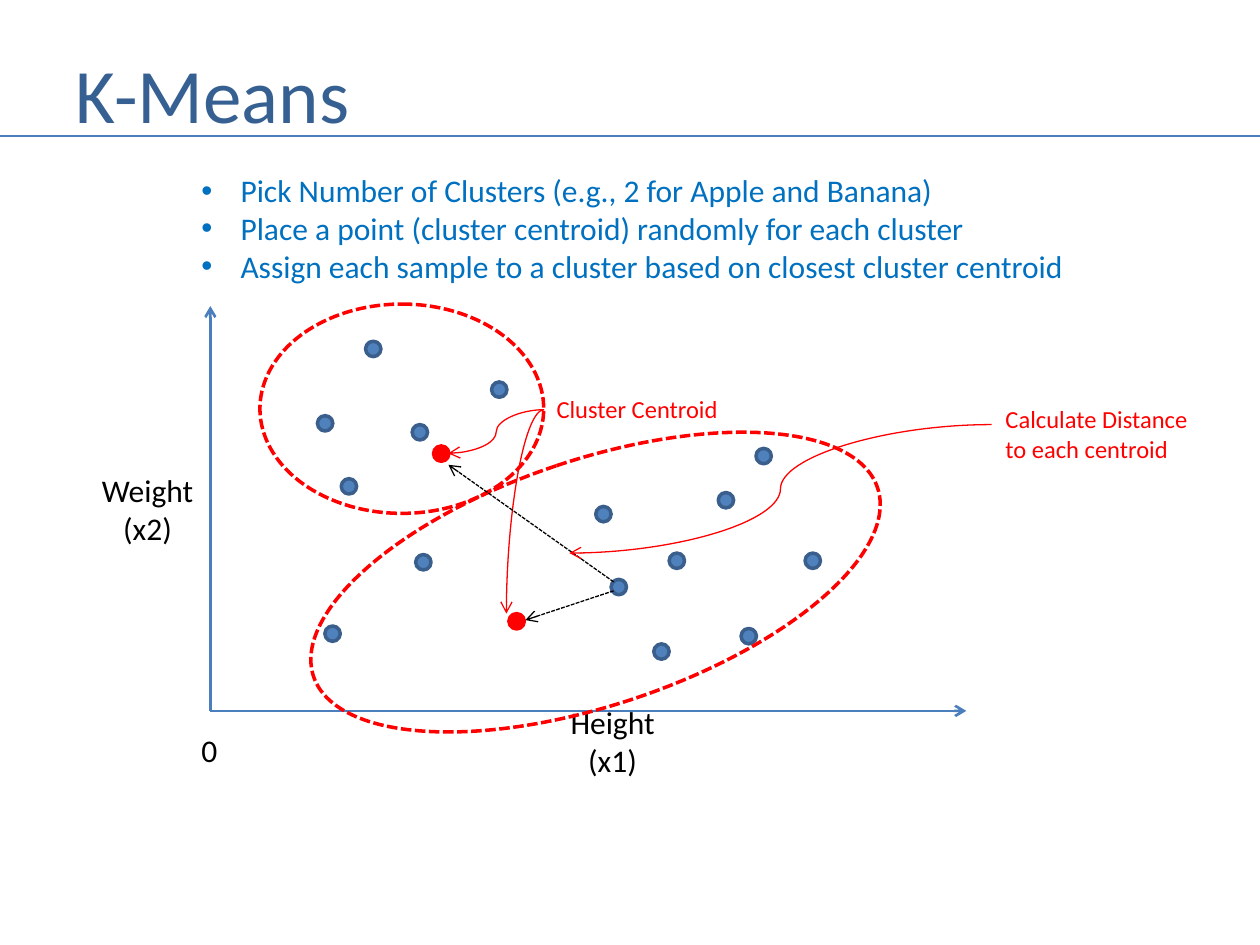
from lxml.etree import SubElement
from pptx import Presentation
from pptx.dml.color import RGBColor
from pptx.enum.dml import MSO_LINE
from pptx.enum.shapes import MSO_CONNECTOR as Connector, MSO_SHAPE as Shape
from pptx.enum.text import MSO_ANCHOR as Anchor, PP_ALIGN as Align
from pptx.oxml.ns import qn
from pptx.util import Cm, Pt

BLACK, RED, BLUE = "000000", "FF0000", "0070C0"
TITLE, AXIS, DOT_FILL, DOT_EDGE = "376092", "4B7EBC", "4F81BD", "3A5F8C"


def color(value):
    return RGBColor.from_string(value)


class SlideBuilder:
    font = "Calibri"
    dot_size = 0.31
    bullet_indent = 0.79

    def __init__(self, slide):
        self.slide = slide

    def text(self, box, lines, size=18, ink=BLACK, align=Align.LEFT,
             anchor=Anchor.TOP, bullets=False):
        shape = self.slide.shapes.add_textbox(*map(Cm, box))
        frame = shape.text_frame
        frame.word_wrap = False
        frame.vertical_anchor = anchor
        frame.text = "\n".join(lines)
        for paragraph in frame.paragraphs:
            paragraph.alignment = align
            if bullets:
                self.bullet(paragraph)
            for run in paragraph.runs:
                run.font.name = self.font
                run.font.size = Pt(size)
                run.font.color.rgb = color(ink)

    def bullet(self, paragraph):
        properties = paragraph._p.get_or_add_pPr()
        indent = Cm(self.bullet_indent)
        properties.set("marL", str(indent))
        properties.set("indent", str(-indent))
        SubElement(properties, qn("a:buFont"), typeface="Arial")
        SubElement(properties, qn("a:buChar"), char="•")

    def outline(self, line, ink, width, dashed):
        line.color.rgb = color(ink)
        line.width = Pt(width)
        if dashed:
            line.dash_style = MSO_LINE.SQUARE_DOT

    def shape(self, kind, box, edge, fill=None, rotation=0, dashed=False):
        shape = self.slide.shapes.add_shape(kind, *map(Cm, box))
        shape.shadow.inherit = False
        shape.rotation = rotation
        if fill:
            shape.fill.solid()
            shape.fill.fore_color.rgb = color(fill)
        else:
            shape.fill.background()
        self.outline(shape.line, edge, 2, dashed)

    def dot(self, left, top, fill=DOT_FILL, edge=DOT_EDGE):
        box = (left, top, self.dot_size, self.dot_size)
        self.shape(Shape.FLOWCHART_CONNECTOR, box, edge, fill)

    def cluster(self, box, rotation):
        self.shape(Shape.OVAL, box, RED, rotation=rotation, dashed=True)

    def line(self, start, end, ink=AXIS, width=1.5, arrow=True, dashed=False,
             kind=Connector.STRAIGHT, preset=None):
        connector = self.slide.shapes.add_connector(
            kind, *map(Cm, (*start, *end)))
        self.outline(connector.line, ink, width, dashed)
        properties = connector._element.spPr
        if arrow:
            SubElement(properties.find(qn("a:ln")), qn("a:tailEnd"), type="arrow")
        SubElement(properties, qn("a:effectLst"))
        if preset:
            properties.find(qn("a:prstGeom")).set("prst", preset)

    def curve(self, start, end, preset=None):
        self.line(start, end, RED, 0.75, kind=Connector.CURVE, preset=preset)

    def distance(self, start, end):
        self.line(start, end, BLACK, 0.75, dashed=True)


def main():
    presentation = Presentation()
    presentation.slide_width, presentation.slide_height = Cm(25.4), Cm(19.05)
    slide = presentation.slides.add_slide(presentation.slide_layouts[6])
    builder = SlideBuilder(slide)

    # Title and rule
    builder.text((1.27, 0.76, 19.89, 2.21), ["K-Means"], 44, TITLE,
                 anchor=Anchor.MIDDLE)
    builder.line((0, 2.74), (25.4, 2.74), arrow=False)

    # Axes and their labels
    origin = (4.24, 14.33)
    builder.line(origin, (4.24, 6.17))
    builder.line(origin, (19.48, 14.33))
    builder.text((11.23, 14.05, 2.24, 1.8), ["Height", "(x1)"], align=Align.CENTER)
    builder.text((3.81, 14.61, 0.84, 1.02), ["0"])
    builder.text((1.78, 9.37, 2.39, 1.8), ["Weight", "(x2)"], align=Align.CENTER)

    # Samples
    samples = [
        (14.94, 12.67), (8.31, 8.56), (6.88, 9.65), (6.55, 12.62), (12.32, 11.68),
        (8.38, 11.18), (6.4, 8.38), (13.18, 12.98), (9.91, 7.7), (7.37, 6.88),
        (14.48, 9.93), (15.24, 9.04), (12.01, 10.21), (13.49, 11.15), (16.23, 11.15),
    ]
    for left, top in samples:
        builder.dot(left, top)

    # Clusters and centroids
    builder.cluster((9.53, 5.74, 4.95, 11.99), 71.5)
    builder.cluster((5.99, 5.38, 4.22, 5.72), 90)
    for left, top in [(8.74, 8.99), (10.26, 12.37)]:
        builder.dot(left, top, RED, RED)

    # Steps
    builder.text((3.81, 3.33, 18.08, 2.57), [
        "Pick Number of Clusters (e.g., 2 for Apple and Banana)",
        "Place a point (cluster centroid) randomly for each cluster",
        "Assign each sample to a cluster based on closest cluster centroid",
    ], ink=BLUE, bullets=True)

    # Centroid callout
    callout = (10.97, 8.26)
    builder.text((10.97, 7.82, 3.81, 0.86), ["Cluster Centroid"], 14, RED)
    builder.curve(callout, (9.04, 9.14))
    builder.curve(callout, (10.21, 12.37), "curvedConnector2")

    # Distance callout
    builder.distance((12.37, 11.91), (10.59, 12.5))
    builder.distance((12.37, 11.73), (9.04, 9.37))
    builder.text((20.02, 8.03, 4.22, 1.45),
                 ["Calculate Distance", "to each centroid"], 14, RED)
    builder.curve((19.99, 8.56), (11.48, 11.15))

    presentation.save("out.pptx")


if __name__ == "__main__":
    main()
